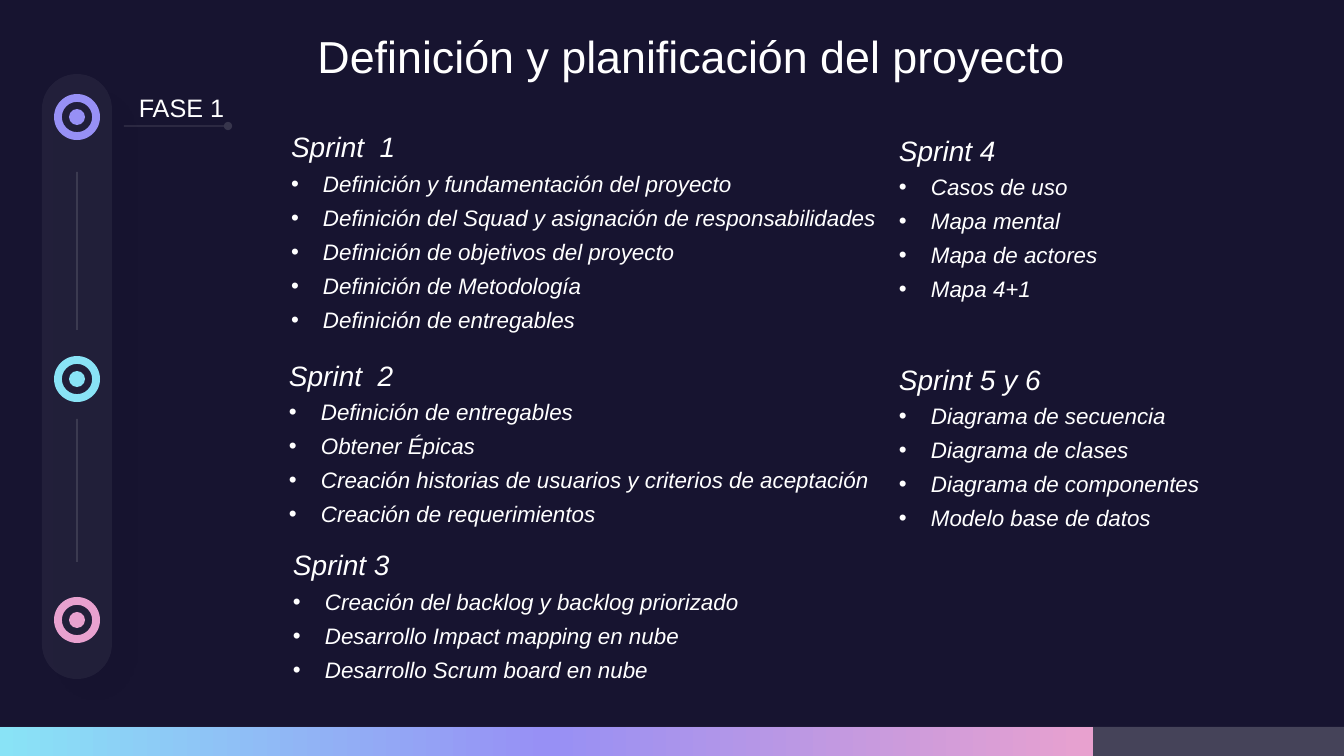
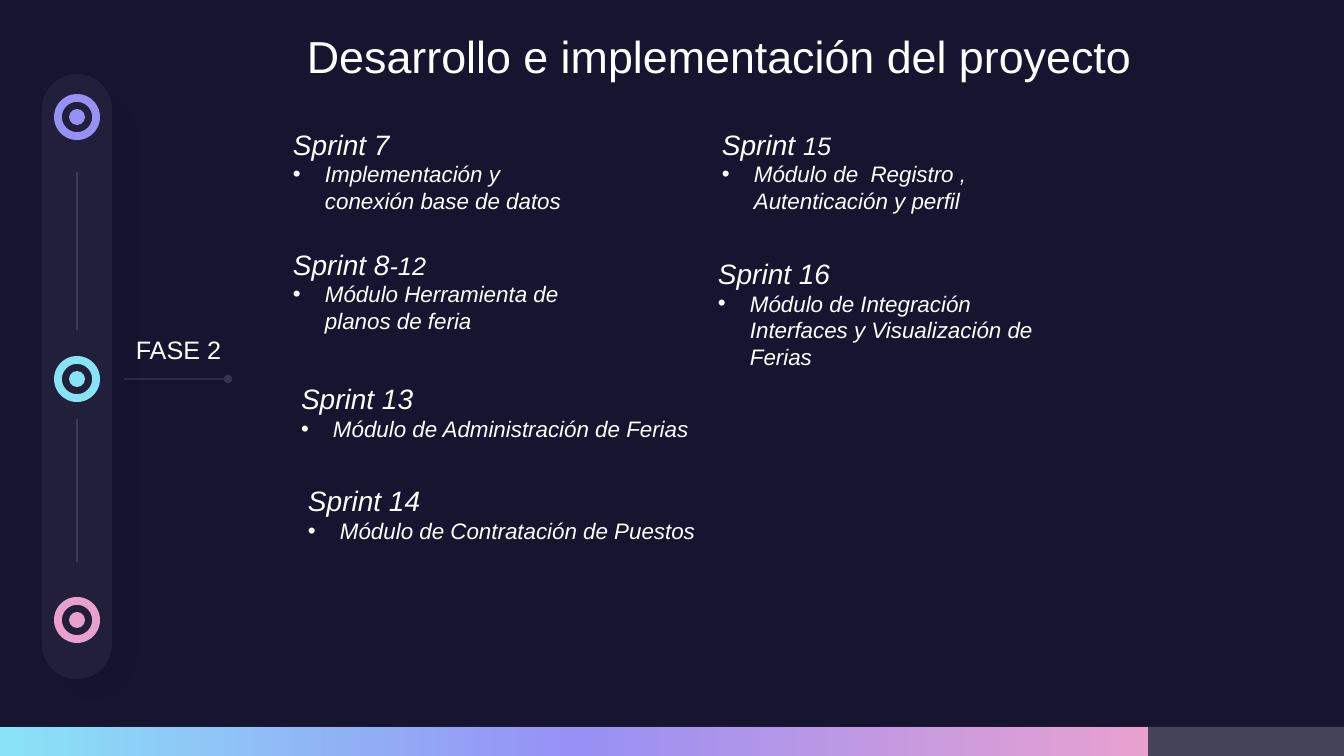
import copy

import lxml.etree
import pptx
import pptx.dml.color
import pptx.enum.shapes
import pptx.enum.text
import pptx.oxml.ns
import pptx.util

SHAPE = pptx.enum.shapes.MSO_SHAPE
ALIGN = pptx.enum.text.PP_ALIGN
ANCHOR = pptx.enum.text.MSO_ANCHOR
qn = pptx.oxml.ns.qn

SLIDE_W, SLIDE_H = 1344, 756
EMU_PER_PX = 12192000 / SLIDE_W
FONT = "Arial"
NIGHT, WHITE, PALE, BLACK = "171430", "FFFFFF", "F2F2F2", "000000"
VIOLET, CYAN, PINK = "9790F5", "89E3F6", "E8A1CF"

RAIL_BOX = (42, 74, 70, 605)
PHASE_MARKS = [(43, VIOLET), (305, CYAN), (546, PINK)]
RAIL_LINKS = [(98, 256), (345, 488)]
BAR_H = 29


def px(n):
    return pptx.util.Emu(round(n * EMU_PER_PX))


def rgb(value):
    return pptx.dml.color.RGBColor.from_string(value)


def add_child(parent, tag, **attrs):
    return lxml.etree.SubElement(
        parent, qn(tag), {k: str(v) for k, v in attrs.items()})


def set_alpha(element, percent):
    """Make every plain colour inside the element see-through."""
    for clr in element.iter(qn("a:srgbClr")):
        add_child(clr, "a:alpha", val=percent * 1000)


def add_shape(shapes, kind, box, color, alpha=None):
    sp = shapes.add_shape(kind, *map(px, box))
    sp.shadow.inherit = False
    sp.line.fill.background()
    sp.fill.solid()
    sp.fill.fore_color.rgb = rgb(color)
    if alpha:
        set_alpha(sp._element.spPr, alpha)
    return sp


def add_line(slide, start, end, alpha, dot=False):
    ln = slide.shapes.add_connector(
        pptx.enum.shapes.MSO_CONNECTOR.STRAIGHT, *map(px, start + end))
    ln.line.width = pptx.util.Pt(0.75)
    ln.line.color.rgb = rgb(PALE)
    spPr = ln._element.spPr
    set_alpha(spPr, alpha)
    if dot:
        add_child(spPr.find(qn("a:ln")), "a:tailEnd", type="oval")
    add_child(spPr, "a:effectLst")


def style_run(r, size, italic=False):
    r.font.name = FONT
    r.font.size = pptx.util.Pt(size)
    r.font.italic = italic
    r.font.color.rgb = rgb(WHITE)


def format_frame(tf, anchor=ANCHOR.TOP):
    tf.word_wrap = True
    tf.auto_size = pptx.enum.text.MSO_AUTO_SIZE.NONE
    tf.vertical_anchor = anchor
    tf.margin_left = tf.margin_right = 0
    tf.margin_top = tf.margin_bottom = px(5)


def set_centred_text(sp, text, size, anchor=ANCHOR.TOP):
    tf = sp.text_frame
    format_frame(tf, anchor)
    tf.text = text
    p = tf.paragraphs[0]
    p.alignment = ALIGN.CENTER
    style_run(p.runs[0], size)


def add_title(slide, text, box):
    title = slide.shapes.title
    title.left, title.top, title.width, title.height = map(px, box)
    set_centred_text(title, text, 32)


def add_rail(slide, box):
    """Vertical pill with one ring per phase and links between them."""
    x, y, w, h = box
    pill = add_shape(slide.shapes, SHAPE.ROUNDED_RECTANGLE, box, WHITE, 5)
    pill.adjustments[0] = 0.5
    effects = pill._element.spPr.find(qn("a:effectLst"))
    shadow = add_child(effects, "a:outerShdw", blurRad=pptx.util.Pt(32),
                       dist=pptx.util.Pt(18), dir=45 * 60000,
                       algn="ctr", rotWithShape=0)
    add_child(shadow, "a:srgbClr", val=BLACK)
    set_alpha(shadow, 10)

    cx = x + w // 2
    for dy, color in PHASE_MARKS:
        group = slide.shapes.add_group_shape()
        for kind, size in ((SHAPE.DONUT, 46), (SHAPE.OVAL, 16)):
            mark = (cx - size // 2, y + dy - size // 2, size, size)
            sp = add_shape(group.shapes, kind, mark, color)
            if kind == SHAPE.DONUT:
                sp.adjustments[0] = 0.17
    for top, bottom in RAIL_LINKS:
        add_line(slide, (cx, y + top), (cx, y + bottom), 20)


def add_phase_label(slide, text, box, line_y):
    x = box[0]
    sp = slide.shapes.add_textbox(*map(px, box))
    set_centred_text(sp, text, 18, ANCHOR.BOTTOM)
    add_line(slide, (x + 12, line_y), (x + 116, line_y), 15, dot=True)


def add_progress_bar(slide, done_w):
    top = SLIDE_H - BAR_H
    add_shape(slide.shapes, SHAPE.RECTANGLE, (0, top, SLIDE_W, BAR_H), WHITE, 20)
    done = add_shape(slide.shapes, SHAPE.RECTANGLE, (0, top, done_w, BAR_H), CYAN)
    done.fill.gradient()
    done.fill.gradient_angle = 0
    stops = done._element.spPr.find(qn("a:gradFill")).find(qn("a:gsLst"))
    stops.append(copy.deepcopy(stops[-1]))
    colors = (CYAN, VIOLET, PINK)
    for i, (stop, color) in enumerate(zip(done.fill.gradient_stops, colors)):
        stop.position = i / 2
        stop.color.rgb = rgb(color)


def add_sprint(slide, box, heading, items, gap):
    """Heading (one or two runs, the second smaller) above a bulleted list."""
    tf = slide.shapes.add_textbox(*map(px, box)).text_frame
    format_frame(tf)
    for text, size in zip(heading, (20, 18)):
        r = tf.paragraphs[0].add_run()
        r.text = text
        style_run(r, size, italic=True)
    for item in items:
        p = tf.add_paragraph()
        p.text = item
        p.space_before = pptx.util.Pt(gap)
        style_run(p.runs[0], 16, italic=True)
        pPr = p._p.get_or_add_pPr()
        pPr.set("marL", str(px(32)))
        pPr.set("indent", str(px(-32)))
        add_child(pPr, "a:buFont", typeface=FONT)
        add_child(pPr, "a:buChar", char="•")


def add_phase_slide(prs, title, title_box, label, label_box, line_y,
                    done_w, gap, sprints):
    slide = prs.slides.add_slide(prs.slide_layouts[5])
    add_title(slide, title, title_box)
    add_rail(slide, RAIL_BOX)
    add_phase_label(slide, label, label_box, line_y)
    add_progress_bar(slide, done_w)
    for box, heading, items in sprints:
        add_sprint(slide, box, heading, items, gap)


PHASE_1 = [
    ((291, 125, 590, 215), ["Sprint  1"], [
        "Definición y fundamentación del proyecto",
        "Definición del Squad y asignación de responsabilidades",
        "Definición de objetivos del proyecto",
        "Definición de Metodología",
        "Definición de entregables"]),
    ((289, 353, 682, 181), ["Sprint  2"], [
        "Definición de entregables",
        "Obtener Épicas",
        "Creación historias de usuarios y criterios de aceptación",
        "Creación de requerimientos"]),
    ((293, 543, 682, 147), ["Sprint 3"], [
        "Creación del backlog y backlog priorizado",
        "Desarrollo Impact mapping en nube",
        "Desarrollo Scrum board en nube"]),
    ((899, 128, 236, 181), ["Sprint 4"], [
        "Casos de uso",
        "Mapa mental",
        "Mapa de actores",
        "Mapa 4+1"]),
    ((899, 357, 356, 181), ["Sprint 5 y 6"], [
        "Diagrama de secuencia",
        "Diagrama de clases",
        "Diagrama de componentes",
        "Modelo base de datos"]),
]

PHASE_2 = [
    ((293, 122, 281, 129), ["Sprint 7"],
     ["Implementación y conexión base de datos"]),
    ((293, 242, 322, 129), ["Sprint 8", "-12"],
     ["Módulo Herramienta de planos de feria"]),
    ((301, 377, 400, 102), ["Sprint 13"],
     ["Módulo de Administración de Ferias"]),
    ((308, 479, 408, 102), ["Sprint 14"],
     ["Módulo de Contratación de Puestos"]),
    ((722, 122, 322, 129), ["Sprint ", "15"],
     ["Módulo de  Registro , Autenticación y perfil"]),
    ((718, 251, 329, 156), ["Sprint 16"],
     ["Módulo de Integración Interfaces y Visualización de Ferias"]),
]


def main():
    prs = pptx.Presentation()
    prs.slide_width, prs.slide_height = px(SLIDE_W), px(SLIDE_H)
    background = prs.slide_master.background.fill
    background.solid()
    background.fore_color.rgb = rgb(NIGHT)

    add_phase_slide(prs, "Definición y planificación del proyecto",
                    (291, 24, 801, 65), "FASE 1", (112, 88, 139, 40), 126,
                    done_w=1093, gap=5, sprints=PHASE_1)
    add_phase_slide(prs, "Desarrollo e implementación del proyecto",
                    (291, 24, 857, 65), "FASE 2", (112, 330, 133, 40), 379,
                    done_w=1148, gap=0, sprints=PHASE_2)
    prs.save("out.pptx")


if __name__ == "__main__":
    main()
